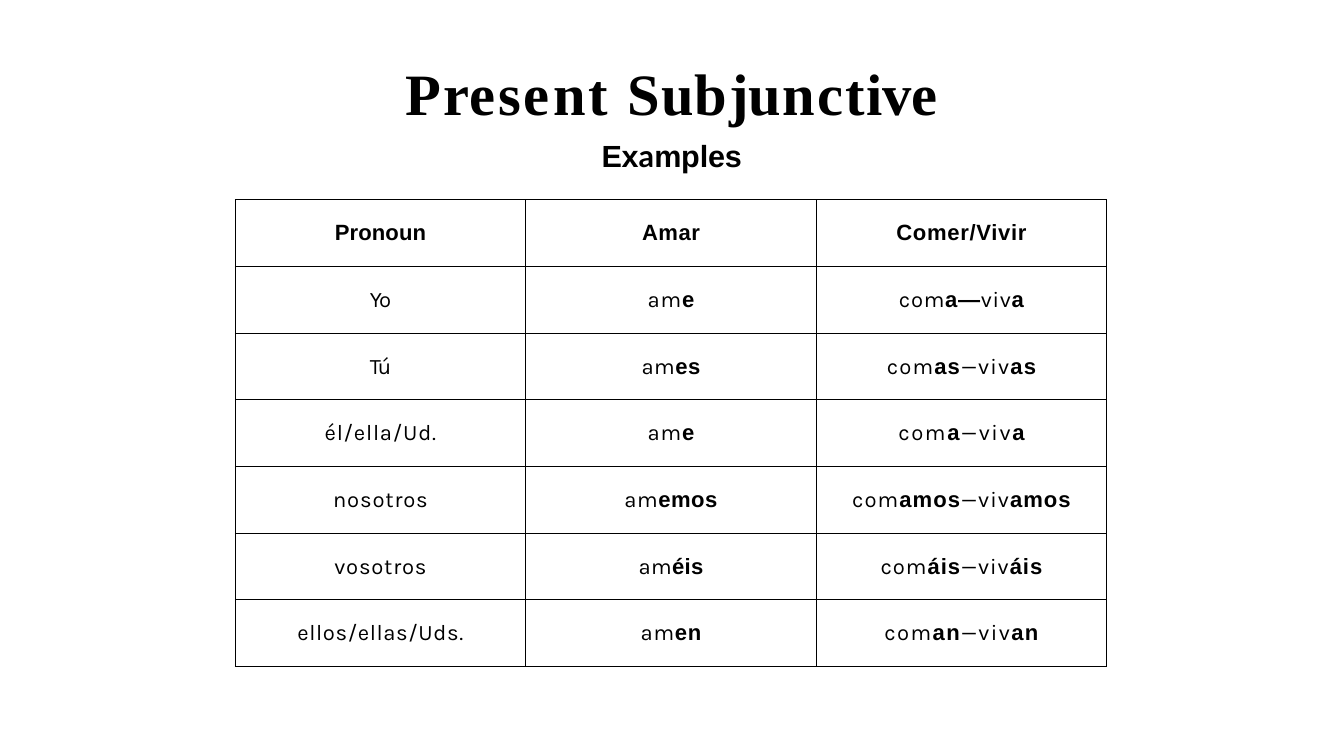
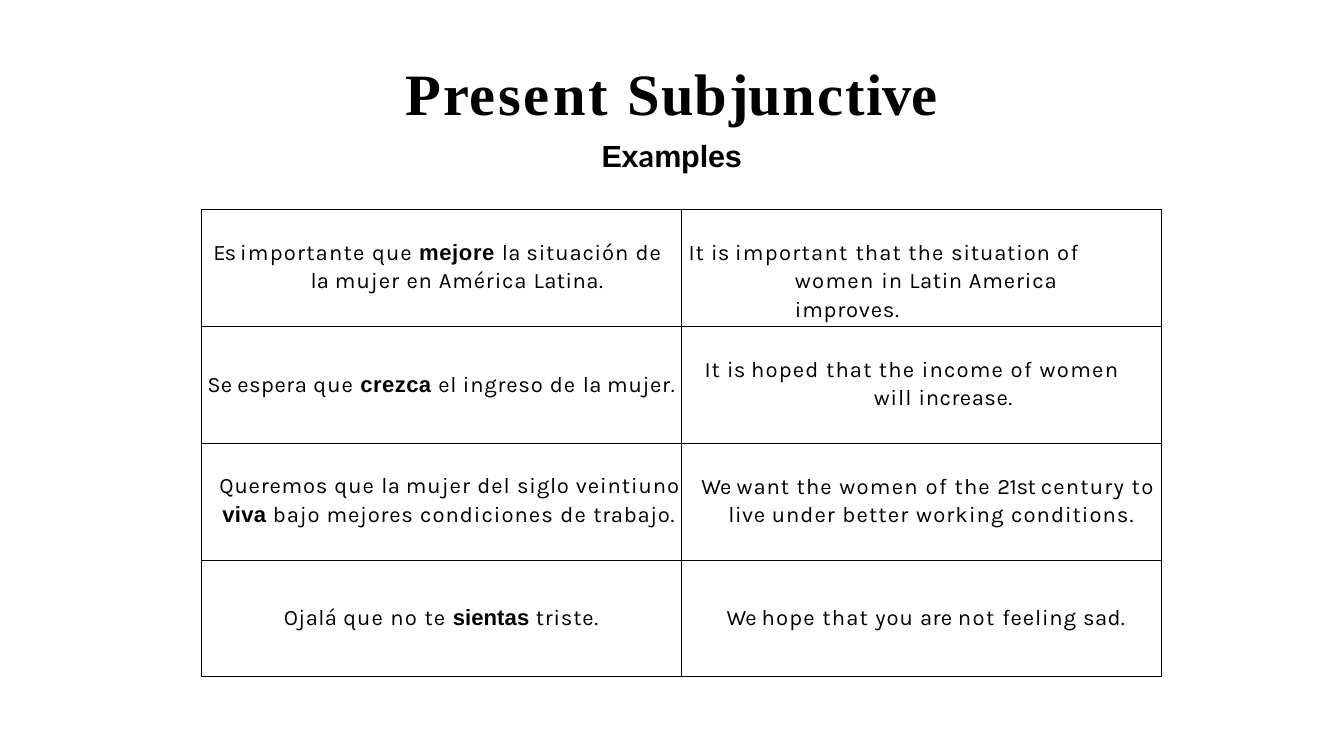
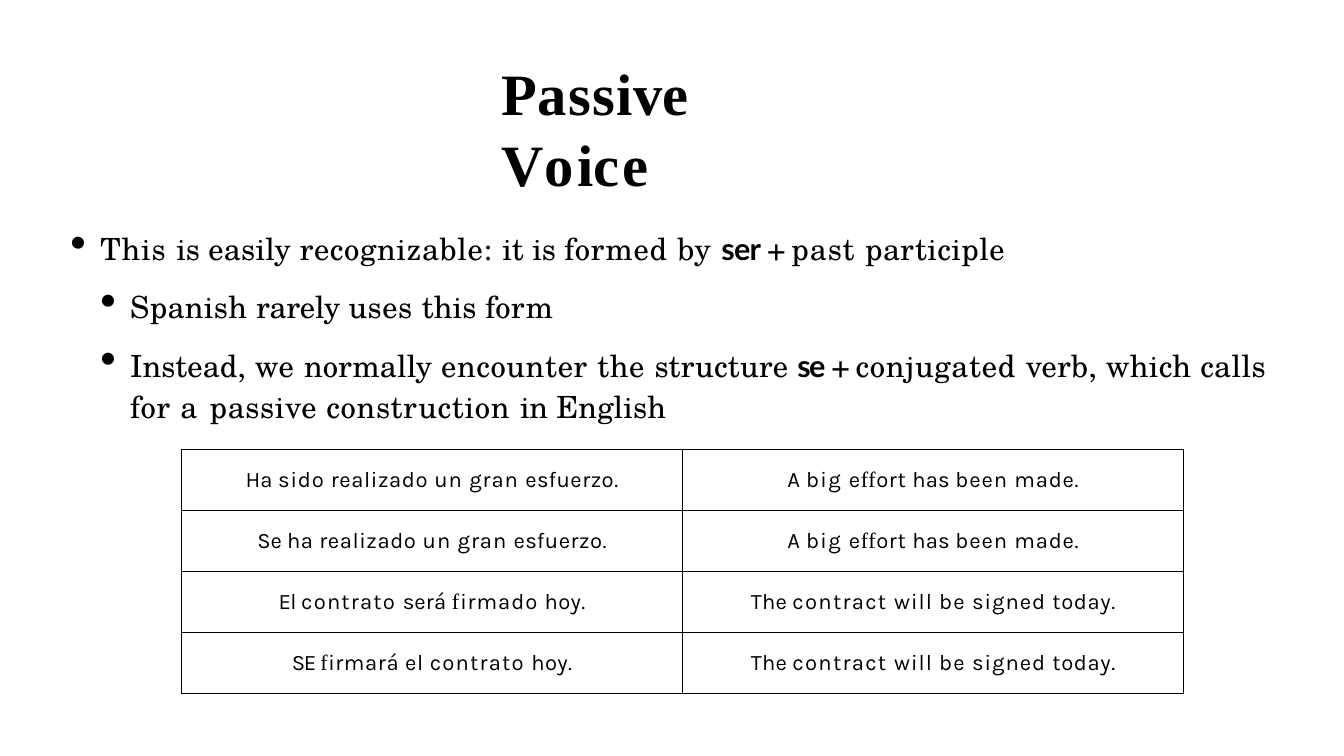
import dataclasses
import itertools

import lxml.etree
import pptx
import pptx.dml.color
import pptx.enum.text
import pptx.oxml.ns
import pptx.util

Pt = pptx.util.Pt
qn = pptx.oxml.ns.qn
ALIGN = pptx.enum.text.PP_ALIGN

COLORS = {"ink": "000000", "page": "FFFFFF"}
MARKS = {"*": ("Arial", True), "~": ("Times New Roman", False), "^": ("Lato", True)}
BASE = {
    "title": ("Times New Roman", 69, True),
    "subtitle": ("Arial", 36, True),
    "body": ("TeX Gyre Schola", 36, False),
    "cell": ("Karla", 26, False),
}


@dataclasses.dataclass
class Para:
    text: str
    spacing: tuple
    style: str = "cell"
    align: object = ALIGN.CENTER
    left: float = 0
    indent: float = 0
    before: float = 0
    line: float = 1
    level: int = 0
    bullet: bool = False


def left_para(text, spacing, left, indent=0, **options):
    return Para(text, spacing, align=ALIGN.LEFT, left=left, indent=indent, **options)


class Deck:
    def __init__(self, width, height):
        self.prs = pptx.Presentation()
        self.prs.slide_width, self.prs.slide_height = Pt(width), Pt(height)
        self.s = None

    def color(self, name):
        return pptx.dml.color.RGBColor.from_string(COLORS[name])

    def slide(self):
        self.s = self.prs.slides.add_slide(self.prs.slide_layouts[6])
        fill = self.s.background.fill
        fill.solid()
        fill.fore_color.rgb = self.color("page")

    def paragraph(self, p, para):
        p.alignment, p.level, p.line_spacing = para.align, para.level, para.line
        if para.before:
            p.space_before = Pt(para.before)
        pPr = p._p.get_or_add_pPr()
        pPr.set("marL", str(Pt(para.left)))
        pPr.set("indent", str(Pt(para.indent)))
        if para.bullet:
            lxml.etree.SubElement(pPr, qn("a:buSzPct")).set("val", "151000")
            lxml.etree.SubElement(pPr, qn("a:buChar")).set("char", "•")
        base_font, size, base_bold = BASE[para.style]
        for part, spacing in zip(para.text.split("|"), itertools.cycle(para.spacing)):
            name, bold = MARKS.get(part[0], (base_font, base_bold))
            r = p.add_run()
            r.text = part[1:] if part[0] in MARKS else part
            r.font.name, r.font.size, r.font.bold = name, Pt(size), bold
            r.font.color.rgb = self.color("ink")
            r._r.get_or_add_rPr().set("spc", str(round(spacing * 100)))

    def fill_text(self, tf, paras):
        for i, para in enumerate(paras):
            self.paragraph(tf.add_paragraph() if i else tf.paragraphs[0], para)

    def text(self, left, top, width, height, inset, paras):
        sp = self.s.shapes.add_textbox(Pt(left), Pt(top), Pt(width), Pt(height))
        tf = sp.text_frame
        tf.word_wrap = True
        tf.margin_left = tf.margin_right = tf.margin_bottom = 0
        tf.margin_top = Pt(inset)
        self.fill_text(tf, paras)

    def border(self, cell):
        tcPr = cell._tc.get_or_add_tcPr()
        for side in ("a:lnL", "a:lnR", "a:lnT", "a:lnB"):
            ln = lxml.etree.SubElement(tcPr, qn(side), w=str(Pt(1)))
            fill = lxml.etree.SubElement(ln, qn("a:solidFill"))
            lxml.etree.SubElement(fill, qn("a:srgbClr"), val=COLORS["ink"])

    def table(self, left, top, col_width, row_height, rows):
        n, m = len(rows), len(rows[0])
        frame = self.s.shapes.add_table(
            n, m, Pt(left), Pt(top), Pt(col_width * m), Pt(row_height * n))
        tbl = frame.table
        tbl.first_row = tbl.horz_banding = False
        for col in tbl.columns:
            col.width = Pt(col_width)
        for row, cells in zip(tbl.rows, rows):
            row.height = Pt(row_height)
            for cell, (inset, paras) in zip(row.cells, cells):
                self.border(cell)
                cell.fill.background()
                cell.margin_left = cell.margin_right = cell.margin_bottom = 0
                cell.margin_top = Pt(inset)
                self.fill_text(cell.text_frame, paras)

    def examples_title(self):
        spacing = (1.8, -3.5, 4.4, 2.1, 4.4, 2.9, 3.1, 3.1, 2.1, 0.5, 1.8,
                   -4.3, 1.1, 2.9, 2.7, 1.4, -0.1, -4.3, 4.8)
        self.text(427, 46, 728.6, 160, 21.6, [
            Para("|".join("Present Subjunctive"), spacing, "title"),
            Para("Ex|^a|mples", (-0.2,), "subtitle", before=10.9),
        ])


def conjugation(deck):
    header = [("*Pronoun", 0.1), ("*Amar", 0.6), ("*Comer/Vivir", 0.8)]
    forms = [
        ("Yo", -1.9, "e", 1.1, "*a—|viv|*a", 0.8),
        ("Tú", -1.7, "es", 0.5, "*as|—viv|*as", 1.3),
        ("él/ella/Ud.", 0.9, "e", 1.1, "*a|—viv|*a", 1.9),
        ("nosotros", 1, "emos", 0.6, "*amos|—viv|*amos", 1.2),
        ("vosotros", 0.9, "éis", 0.4, "*áis|—viv|*áis", 1.1),
        ("ellos/ellas/Uds.", 0.7, "en", 0.8, "*an|—viv|*an", 1.6),
    ]
    rows = [header] + [
        [(pronoun, a), (f"am|*{ending}", b), (f"com|{endings}", c)]
        for pronoun, a, ending, b, endings, c in forms
    ]
    deck.slide()
    deck.examples_title()
    deck.table(277.2, 235.4, 342.2, 78.5, [
        [(24.5, [Para(text, (spacing,))]) for text, spacing in row] for row in rows])


def sentences(deck):
    high, middle, low = 33, 36, 54
    rows = [
        [(high, [left_para(
            "Es |importante |que |*mejore |la |situación |de |la |mujer |en |América |Latina.",
            (-1.4, 1.4, 1.2, 0.7, 0.3, 1, 1.3, 0.3, 1.2, 0.9, 1, 0.5),
            128.9, -114.5, line=1.11)]),
         (high, [left_para(
             "It |is |important |that the |situation |of |women |in |Latin |America |improves.",
             (1.1, 0.2, 1.5, 1.3, 1, 1.6, 1.5, 1.1, 0.7, 1, 0.9),
             133.9, -125.3, line=1.11)])],
        [(low, [Para(
            "Se |espera |que |*crezca |el |ingreso |de |la |mujer.",
            (-0.1, 0.6, 1.2, 0.5, 0.7, 0.9, 1.3, 0.3, 0.8))]),
         (high, [left_para(
             "It |is |hoped |that the |income |of |women |will |increase.",
             (1.1, 0.2, 1.4, 1.3, 1.4, 1.6, 1.5, 1.1, 0.6),
             226.8, -199.4, line=1.11)])],
        [(middle, [
            left_para("Queremos |que |la |mujer |del |siglo |veintiuno",
                      (0.9, 1.2, 0.3, 1.2, 1.1, 0.9, 1.1), 21.6),
            left_para("*viva |bajo |mejores |condiciones |de |trabajo.",
                      (0.3, 1, 0.9, 1.2, 1.3, 0.8), 25.2, before=3.4)]),
         (high, [left_para(
             "We |want |the |women |of |the |21st |century |to |live |under |better "
             "|working |conditions.",
             (-0.3, 1.2, 1.3, 1.5, 1.6, 1.3, -0.5, 1.4, 1.8, 0.7, 1.2, 1.4, 1.3, 1.2),
             55.4, -31.7, line=1.11)])],
        [(low, [Para("Ojalá |que |no |te |*sientas |triste.",
                     (0.5, 1.2, 1.4, 1.3, 0.1, 0.9))]),
         (low, [left_para("We |hope |that |you |are |not |feeling |sad.",
                          (-0.3, 1.4, 1.3, 1.1, 0.3, 1.6, 1, 0.4), 53.3)])],
    ]
    deck.slide()
    deck.examples_title()
    deck.table(236.9, 246.2, 565.7, 137.8, rows)


def passive_voice(deck):
    deck.slide()
    deck.text(590.4, 66.2, 401.8, 85, 1.4, [left_para(
        "P|a|s|s|i|v|e |V|o|i|c|e",
        (-0.6, 1.4, 1.8, 2.1, -0.1, -4.3, 4.8, -7.5, 4.8, -0.5, 3, 4.8),
        0.7, style="title")])

    points = [
        ("This |is |easily |recognizable: |it| is |formed |by |^ser |+ |past |participle",
         (1.1, -0.1, 0.3, 0.8, 0.1, -0.1, 0.9, 1.1, -0.8, -3.4, 1.2, 0.5),
         dict(left=36.7)),
        ("Spanish |rarely |uses |this |form", (0.4, -0.1, 0.6, 0.2, 0.6),
         dict(left=72, level=1, before=25.6)),
        ("Instead, |we |normally |encounter |the |structure |^se |+ |conjugated |verb, "
         "|which |calls |for |a |passive |construction |in |English",
         (0.1, 1, 0.2, 0.8, 0.9, 0.3, -1.8, -3.4, 0.9, 0.3,
          0.4, 0.5, 1, 2.2, 0.7, 0.9, -0.3, 0.2),
         dict(left=72, level=1, before=19.8, line=1.13)),
    ]
    deck.text(81.4, 265, 1411.9, 236.9, 5.8, [
        left_para(text, spacing, indent=-35.3, style="body", bullet=True, **options)
        for text, spacing, options in points])

    effort = ("A |big |e|~ff|ort |has |been |made.", (0.4, 1.6, 0.7, 0.7, 0.7, 0.2, 1.1, 0.9))
    contract = ("The |contract |will |be |signed |today.", (0.2, 1.5, 1.1, 1.3, 1.1, 0.7))
    pairs = [
        (("Ha |sido |realizado |un |gran |esfuerzo.", (0.1, 1, 0.7, 1.2, 1.1, 0.6)), effort),
        (("Se |ha |realizado |un |gran |esfuerzo.", (-0.1, 0.6, 0.7, 1.2, 1.1, 0.6)), effort),
        (("El |contrato |será |~f|irmado |hoy.", (-0.8, 1.4, 0.2, 1.1, 1.1, 0.4)), contract),
        (("SE |~f|irmará el |contrato |hoy.", (-1.6, 0.7, 0.7, 1.4, 0.4)), contract),
    ]
    deck.table(213.8, 529.2, 590.3, 72, [
        [(20.9, [Para(*sentence)]) for sentence in pair] for pair in pairs])


def main():
    deck = Deck(1583.3, 890.6)
    conjugation(deck)
    sentences(deck)
    passive_voice(deck)
    deck.prs.save("out.pptx")


if __name__ == "__main__":
    main()
